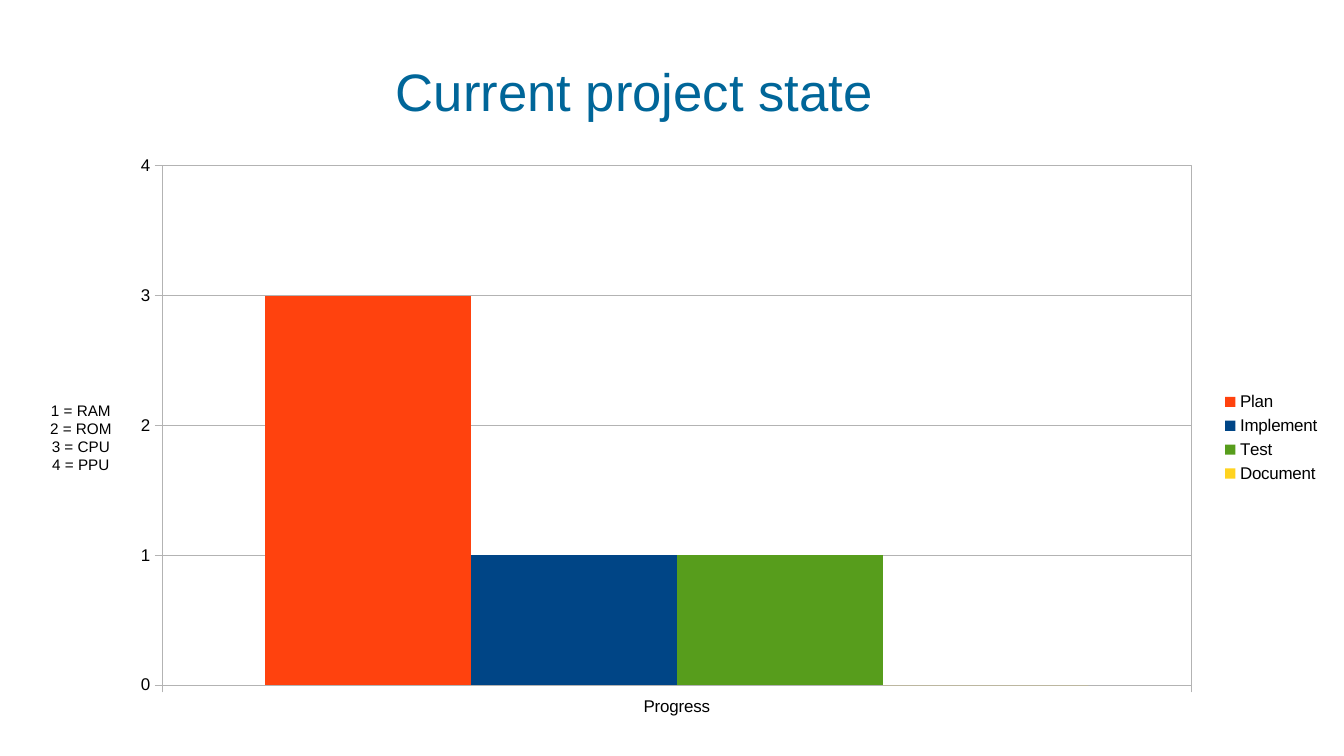
from lxml import etree
from pptx import Presentation
from pptx.chart.data import CategoryChartData
from pptx.dml.color import RGBColor
from pptx.enum.chart import XL_CHART_TYPE as ChartType
from pptx.enum.chart import XL_LEGEND_POSITION as LegendPos
from pptx.enum.chart import XL_TICK_MARK as Tick
from pptx.enum.text import MSO_ANCHOR, PP_ALIGN
from pptx.oxml import parse_xml
from pptx.oxml.ns import nsdecls, qn
from pptx.util import Inches, Pt

COLORS = {
    "title": "006699", "text": "000000", "grid": "B3B3B3",
    "Plan": "FF420E", "Implement": "004586", "Test": "579D1C", "Document": "FFD320",
}
PROGRESS = {"Plan": 3, "Implement": 1, "Test": 1, "Document": 0}
STAGES = ["1 = RAM", "2 = ROM", "3 = CPU", "4 = PPU"]


def rgb(name):
    return RGBColor.from_string(COLORS[name])


def set_font(font, size, color="text"):
    font.name, font.size, font.bold = "Arial", Pt(size), False
    font.color.rgb = rgb(color)


def set_text(tf, lines, size, color="text"):
    for i, line in enumerate(lines):
        p = tf.paragraphs[0] if i == 0 else tf.add_paragraph()
        p.alignment = PP_ALIGN.CENTER
        r = p.add_run()
        r.text = line
        set_font(r.font, size, color)


def set_layout(parent, inner=False, **fractions):
    """Place a chart part by fractions of the chart's width and height."""
    layout = parent.find(qn("c:layout"))
    if layout is None:
        layout = parse_xml(f"<c:layout {nsdecls('c')}/>")
        parent.insert(0, layout)
    manual = etree.SubElement(layout, qn("c:manualLayout"))
    if inner:
        etree.SubElement(manual, qn("c:layoutTarget")).set("val", "inner")
    for key in ("x", "y"):
        etree.SubElement(manual, qn(f"c:{key}Mode")).set("val", "edge")
    for key, value in fractions.items():
        etree.SubElement(manual, qn(f"c:{key}")).set("val", str(value))


def set_line(line):
    line.color.rgb = rgb("grid")
    line.width = Pt(0.75)


def add_title(slide, text, left, top, width, height):
    sp = slide.shapes.title
    sp.left, sp.top, sp.width, sp.height = map(Inches, (left, top, width, height))
    tf = sp.text_frame
    tf.margin_left = tf.margin_right = tf.margin_top = tf.margin_bottom = 0
    tf.vertical_anchor = MSO_ANCHOR.MIDDLE
    set_text(tf, [text], 31.1, "title")


def format_axes(chart):
    for axis in (chart.category_axis, chart.value_axis):
        axis.major_tick_mark, axis.minor_tick_mark = Tick.OUTSIDE, Tick.NONE
        set_font(axis.tick_labels.font, 10)
        set_line(axis.format.line)
    axis = chart.value_axis
    axis.minimum_scale, axis.maximum_scale, axis.major_unit = 0, 4, 1
    axis.has_major_gridlines = True
    set_line(axis.major_gridlines.format.line)
    title = axis.axis_title
    set_text(title.text_frame, STAGES, 9)
    body = title.text_frame._txBody.find(qn("a:bodyPr"))
    body.set("rot", "0")
    body.set("vert", "horz")
    set_layout(title._element, x=0.015, y=0.43)


def add_progress_chart(slide, left, top, width, height):
    data = CategoryChartData(number_format="General")
    data.categories = ["Progress"]
    for name, value in PROGRESS.items():
        data.add_series(name, [value])
    box = map(Inches, (left, top, width, height))
    chart = slide.shapes.add_chart(ChartType.COLUMN_CLUSTERED, *box, data).chart
    set_font(chart.font, 10)
    chart.has_title = False
    chart.has_legend = True
    chart.legend.position = LegendPos.RIGHT
    chart.legend.include_in_layout = False
    set_font(chart.legend.font, 10)
    format_axes(chart)

    plot = chart.plots[0]
    plot.gap_width, plot.overlap, plot.vary_by_categories = 100, 0, False
    for series in plot.series:
        series.format.fill.solid()
        series.format.fill.fore_color.rgb = rgb(series.name)

    area = chart._chartSpace.chart.plotArea
    set_layout(area, inner=True, x=round(1.11 / width, 4), y=round(0.17 / height, 4),
               w=round(8.44 / width, 4), h=round(4.26 / height, 4))
    area.append(parse_xml(
        f'<c:spPr {nsdecls("c", "a")}><a:noFill/><a:ln w="{Pt(0.75)}"><a:solidFill>'
        f'<a:srgbClr val="{COLORS["grid"]}"/></a:solidFill></a:ln></c:spPr>'))


def main():
    prs = Presentation()
    prs.slide_width, prs.slide_height = Inches(11.02), Inches(6.2)
    slide = prs.slides.add_slide(prs.slide_layouts[5])
    add_title(slide, "Current project state", 0.24, 0.48, 9.92, 0.52)
    add_progress_chart(slide, 0.22, 1.19, 10.71, 4.8)
    prs.save("out.pptx")


if __name__ == "__main__":
    main()
